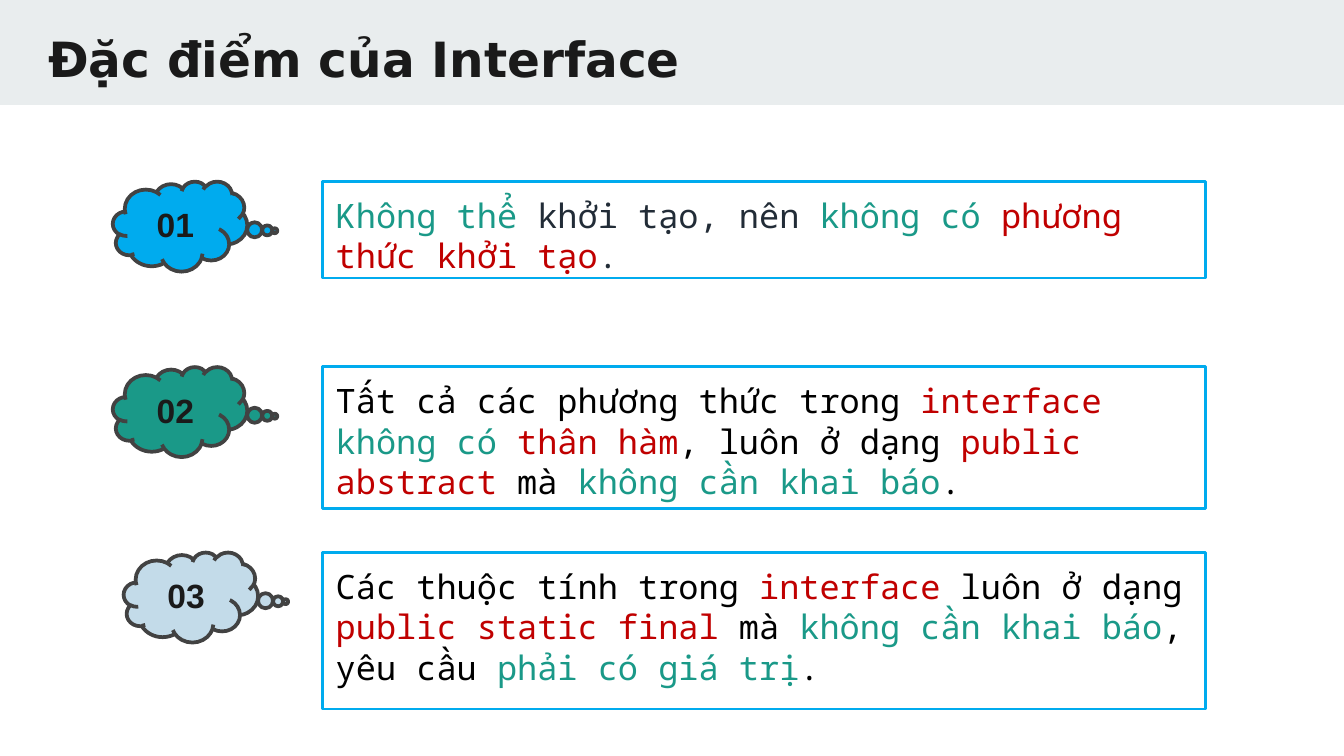
import pptx
import pptx.util
import pptx.dml.color
import pptx.enum.shapes
import pptx.enum.text

Pt = pptx.util.Pt
RGBColor = pptx.dml.color.RGBColor
SHAPE = pptx.enum.shapes.MSO_SHAPE
ANCHOR = pptx.enum.text.MSO_ANCHOR
ALIGN = pptx.enum.text.PP_ALIGN

BAND = RGBColor(0xE9, 0xED, 0xEE)
INK = RGBColor(0x1A, 0x1A, 0x1A)
BLACK = RGBColor(0, 0, 0)
NAVY = RGBColor(0x22, 0x2C, 0x37)
BLUE = RGBColor(0x00, 0xAB, 0xEE)
TEAL = RGBColor(0x1A, 0x99, 0x88)
RED = RGBColor(0xC0, 0x00, 0x00)
PALE = RGBColor(0xC3, 0xDB, 0xE9)
OUTLINE = RGBColor(0x42, 0x42, 0x42)

INSET = 7.2
ROW_TOP = 97.2
ROW_STEP = 99.36

FEATURES = [
    (BLUE, 60.5, 51.8, [
        ("Không thể", TEAL), (" khởi tạo, nên ", NAVY), ("không có ", TEAL),
        ("phương thức khởi tạo", RED), (".", NAVY)]),
    (TEAL, 60.5, 75.8, [
        ("Tất cả các phương thức trong ", BLACK), ("interface ", RED),
        ("không có ", TEAL), ("thân hàm", RED), (", luôn ở dạng ", BLACK),
        ("public abstract ", RED), ("mà ", BLACK),
        ("không cần khai báo", TEAL), (".", BLACK)]),
    (PALE, 66.3, 84, [
        ("Các thuộc tính trong ", BLACK), ("interface ", RED),
        ("luôn ở dạng ", BLACK), ("public static final ", RED),
        ("mà ", BLACK), ("không cần khai báo", TEAL),
        (", yêu cầu ", BLACK), ("phải có giá trị", TEAL), (".", BLACK)]),
]


def set_frame(shape, anchor, inset_y):
    frame = shape.text_frame
    frame.word_wrap = True
    frame.vertical_anchor = anchor
    frame.margin_left = frame.margin_right = Pt(INSET)
    frame.margin_top = frame.margin_bottom = Pt(inset_y)
    return frame.paragraphs[0]


def set_font(para, name, size, bold=False):
    para.font.name = name
    para.font.size = Pt(size)
    para.font.bold = bold


def add_shape(page, kind, left, top, width, height, fill=None, line=None, weight=0):
    shape = page.shapes.add_shape(kind, Pt(left), Pt(top), Pt(width), Pt(height))
    shape.shadow.inherit = False
    if fill is None:
        shape.fill.background()
    else:
        shape.fill.solid()
        shape.fill.fore_color.rgb = fill
    if line is None:
        shape.line.fill.background()
    else:
        shape.line.color.rgb = line
        shape.line.width = Pt(weight)
    return shape


def add_header(page, left, top, width, height, text):
    add_shape(page, SHAPE.RECTANGLE, left, top, width, height, BAND)
    box = page.shapes.add_textbox(
        Pt(left + 18.7), Pt(top + 8.6), Pt(width - 34.6), Pt(42.5))
    para = set_frame(box, ANCHOR.TOP, INSET)
    para.text = text
    set_font(para, "DejaVu Sans", 26, True)
    para.font.color.rgb = INK


def add_number_cloud(page, left, top, width, height, number, fill):
    cloud = add_shape(page, SHAPE.CLOUD_CALLOUT, left, top, width, height,
                      fill, OUTLINE, 2)
    cloud.adjustments[0] = 0.705
    cloud.adjustments[1] = 0.049
    para = set_frame(cloud, ANCHOR.MIDDLE, INSET / 2)
    para.text = f"{number:02d}"
    para.alignment = ALIGN.CENTER
    set_font(para, "Arial", 18, True)
    para.font.color.rgb = INK


def add_description(page, left, top, width, height, pieces):
    box = add_shape(page, SHAPE.RECTANGLE, left, top, width, height,
                    line=BLUE, weight=1.5)
    para = set_frame(box, ANCHOR.TOP, INSET)
    para.alignment = ALIGN.LEFT
    set_font(para, "Noto Sans Mono", 18)
    for text, colour in pieces:
        span = para.add_run()
        span.text = text
        span.font.color.rgb = colour


def main():
    deck = pptx.Presentation()
    deck.slide_width = Pt(720)
    deck.slide_height = Pt(405)
    page = deck.slides.add_slide(deck.slide_layouts[6])
    add_header(page, 0, 0, 720, 56.2, "Đặc điểm của Interface")
    for index, (fill, cloud_left, height, pieces) in enumerate(FEATURES):
        top = ROW_TOP + index * ROW_STEP
        add_number_cloud(page, cloud_left, top, 72, 48.2, index + 1, fill)
        add_description(page, 172.8, top, 473, height, pieces)
    deck.save("out.pptx")


if __name__ == "__main__":
    main()
